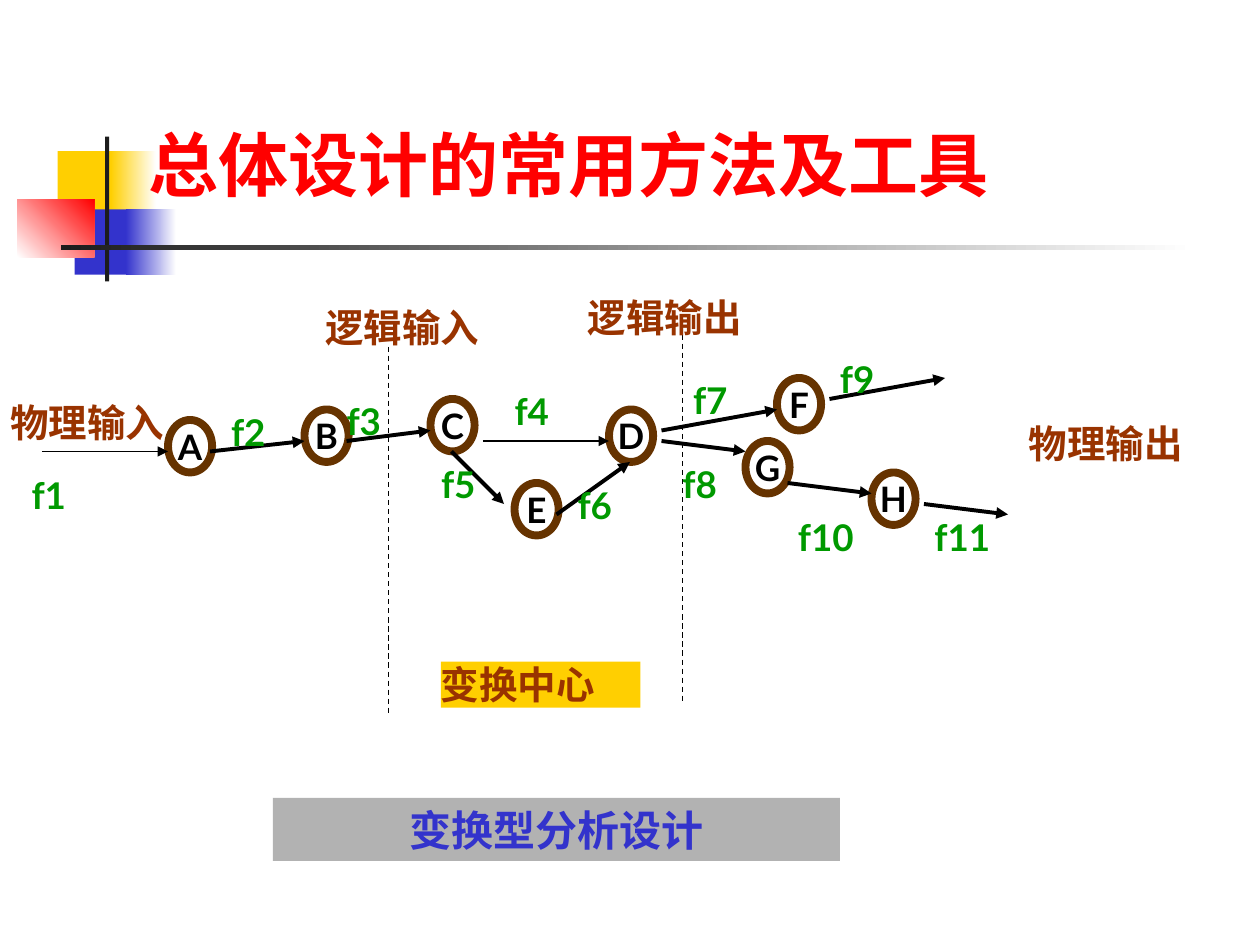
from lxml import etree
from pptx import Presentation
from pptx.dml.color import RGBColor
from pptx.enum.dml import MSO_LINE
from pptx.enum.shapes import MSO_CONNECTOR, MSO_SHAPE
from pptx.enum.text import MSO_ANCHOR, MSO_AUTO_SIZE, PP_ALIGN
from pptx.oxml.ns import qn
from pptx.util import Pt

RECT, OVAL = MSO_SHAPE.RECTANGLE, MSO_SHAPE.OVAL
STRAIGHT, DASH = MSO_CONNECTOR.STRAIGHT, MSO_LINE.DASH
LEFT, CENTER = PP_ALIGN.LEFT, PP_ALIGN.CENTER
TOP, MIDDLE = MSO_ANCHOR.TOP, MSO_ANCHOR.MIDDLE
GROW, FIXED = MSO_AUTO_SIZE.SHAPE_TO_FIT_TEXT, MSO_AUTO_SIZE.NONE

COLORS = {
    "yellow": "FFCF01", "blue": "3333CC", "red": "FF0000", "white": "FFFFFF",
    "ink": "1C1C1C", "black": "000000", "ring": "663300", "label": "993300",
    "flow": "009900", "gray": "B2B2B2",
}


def rgb(name):
    return RGBColor.from_string(COLORS[name])


class Painter:
    font = "Lato"
    node_size = (25.2, 30)

    def __init__(self, page):
        self.page = page

    def label(self, box, text, size, color, align=LEFT, anchor=TOP,
              insets=(0, 0), font=None, wrap=True, fit=GROW):
        frame = box.text_frame
        frame.word_wrap = wrap
        frame.auto_size = fit
        frame.vertical_anchor = anchor
        frame.margin_left = frame.margin_right = Pt(insets[0])
        frame.margin_top = frame.margin_bottom = Pt(insets[1])
        para = frame.paragraphs[0]
        para.alignment = align
        span = para.add_run()
        span.text = text
        span.font.name = font or self.font
        span.font.size = Pt(size)
        span.font.bold = True
        span.font.color.rgb = rgb(color)

    def text(self, left, top, width, height, text, size, color, **style):
        box = self.page.shapes.add_textbox(Pt(left), Pt(top), Pt(width), Pt(height))
        self.label(box, text, size, color, **style)

    def rect(self, left, top, width, height, fill, fade_to=None, angle=0):
        box = self.page.shapes.add_shape(RECT, Pt(left), Pt(top), Pt(width), Pt(height))
        box.shadow.inherit = False
        box.line.fill.background()
        if fade_to:
            box.fill.gradient()
            box.fill.gradient_angle = angle
            for stop, name in zip(box.fill.gradient_stops, (fill, fade_to)):
                stop.color.rgb = rgb(name)
        else:
            box.fill.solid()
            box.fill.fore_color.rgb = rgb(fill)
        return box

    def node(self, left, top, letter):
        width, height = self.node_size
        ring = self.page.shapes.add_shape(OVAL, Pt(left), Pt(top), Pt(width), Pt(height))
        ring.shadow.inherit = False
        ring.fill.background()
        ring.line.color.rgb = rgb("ring")
        ring.line.width = Pt(4.5)
        self.label(ring, letter, 20, "black", align=CENTER, anchor=MIDDLE,
                   insets=(7.2, 3.6), wrap=False, fit=FIXED)

    def line(self, x1, y1, x2, y2, width, dash=None, arrow=False):
        line = self.page.shapes.add_connector(STRAIGHT, Pt(x1), Pt(y1), Pt(x2), Pt(y2))
        line.line.color.rgb = rgb("black")
        line.line.width = Pt(width)
        if dash:
            line.line.dash_style = dash
        properties = line.element.spPr
        if arrow:
            etree.SubElement(properties.find(qn("a:ln")), qn("a:tailEnd"), type="triangle")
        etree.SubElement(properties, qn("a:effectLst"))


def main():
    deck = Presentation()
    deck.slide_width, deck.slide_height = Pt(720), Pt(540)
    painter = Painter(deck.slides.add_slide(deck.slide_layouts[6]))

    # Corner decoration and title rule
    painter.rect(33, 86.4, 34.6, 37.4, "yellow")
    painter.rect(63.4, 86.4, 25.9, 37.4, "yellow", "white")
    painter.rect(42.6, 119.6, 33.1, 37.4, "blue")
    painter.rect(72, 119.6, 28.8, 37.4, "blue", "white")
    painter.rect(9.9, 113.8, 44, 33.1, "white", "red", angle=45)
    painter.rect(60, 78, 2.4, 82.8, "ink")
    painter.rect(34.8, 140.2, 648, 2.5, "ink", "white")

    # Title
    painter.text(78, 66, 612, 55.4, "总体设计的常用方法及工具", 40, "red",
                 insets=(7.2, 3.6), font="Times New Roman")

    # Processing nodes
    nodes = [("A", 96, 240), ("B", 174, 234), ("C", 246, 228), ("D", 348, 234),
             ("E", 294, 276), ("F", 444, 216), ("G", 426, 252), ("H", 498, 270)]
    for letter, left, top in nodes:
        painter.node(left, top, letter)

    # Data flows: arrow ends, arrow weight, label position
    thin, thick = 0.75, 2.25
    flows = [
        ((24, 258, 96, 258), thin, (18, 270)),
        ((120, 258, 174, 252), thick, (132, 234)),
        ((198, 252, 246, 246), thick, (198, 228)),
        ((276, 252, 348, 252), thin, (294, 222)),
        ((258, 258, 288, 288), thick, (252, 264)),
        ((318, 294, 360, 264), thick, (330, 276)),
        ((378, 246, 444, 234), thick, (396, 216)),
        ((378, 252, 426, 258), thick, (390, 264)),
        ((474, 228, 540, 216), thick, (480, 204)),
        ((450, 276, 498, 282), thick, (456, 294)),
        ((528, 288, 576, 294), thick, (534, 294)),
    ]
    for number, (ends, weight, (left, top)) in enumerate(flows, 1):
        painter.line(*ends, weight, arrow=True)
        painter.text(left, top, 24 if number < 10 else 36, 25.2,
                     f"f{number}", 21, "flow")

    # Boundaries of the transform centre
    painter.line(222, 198, 222, 408, thin, dash=DASH)
    painter.line(390, 186, 390, 402, thin, dash=DASH)

    # Input and output captions
    captions = [("物理输入", 6, 228, 102), ("逻辑输入", 186, 174, 102),
                ("逻辑输出", 336, 168, 108), ("物理输出", 588, 240, 90)]
    for caption, left, top, width in captions:
        painter.text(left, top, width, 26.4, caption, 22, "label")

    # Filled captions
    center = painter.rect(252, 378, 114, 26.4, "yellow")
    painter.label(center, "变换中心", 22, "label")
    banner = painter.rect(156, 456, 324, 36, "gray")
    painter.label(banner, "变换型分析设计", 24, "blue", align=CENTER, insets=(7.2, 3.6))

    deck.save("out.pptx")


if __name__ == "__main__":
    main()
